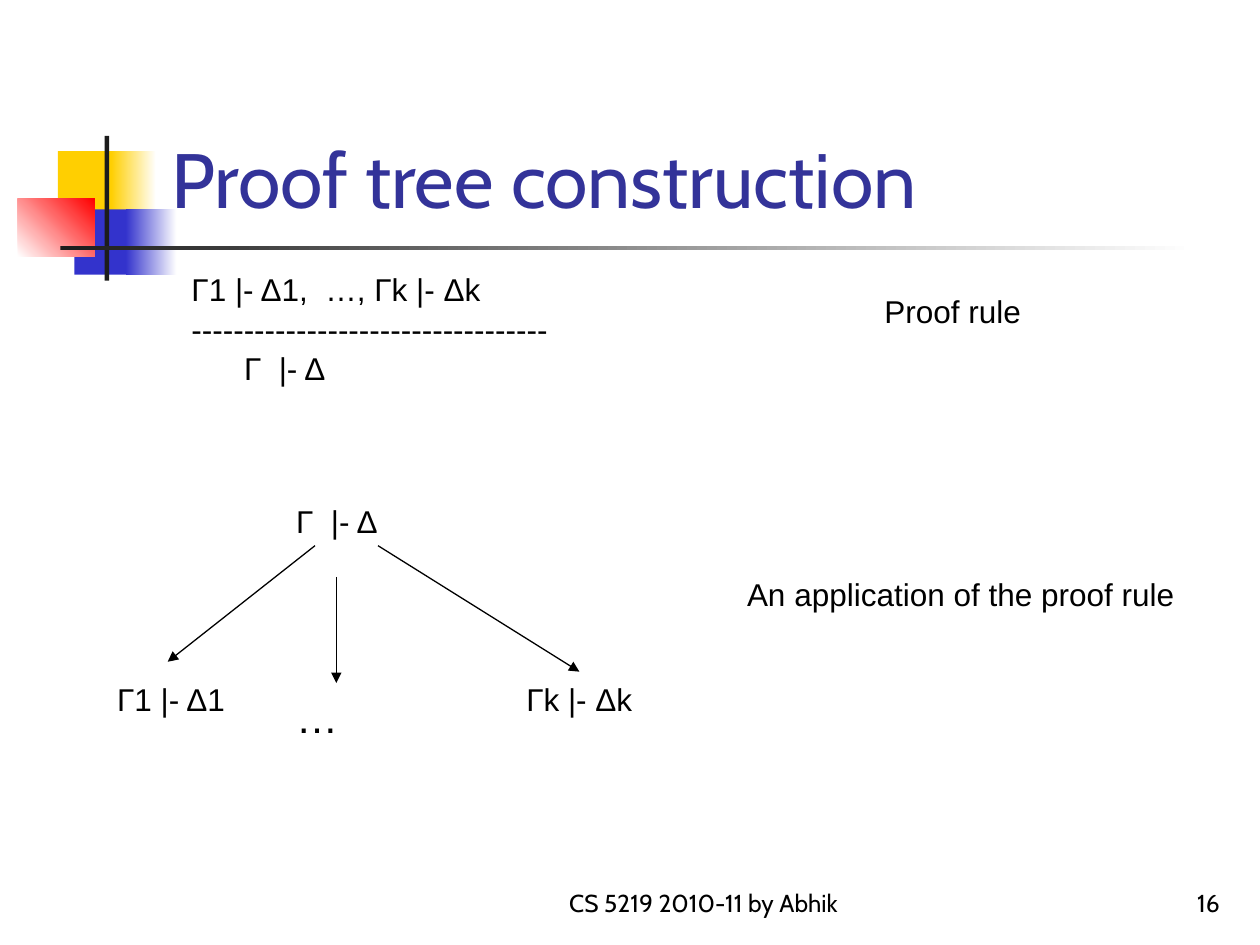
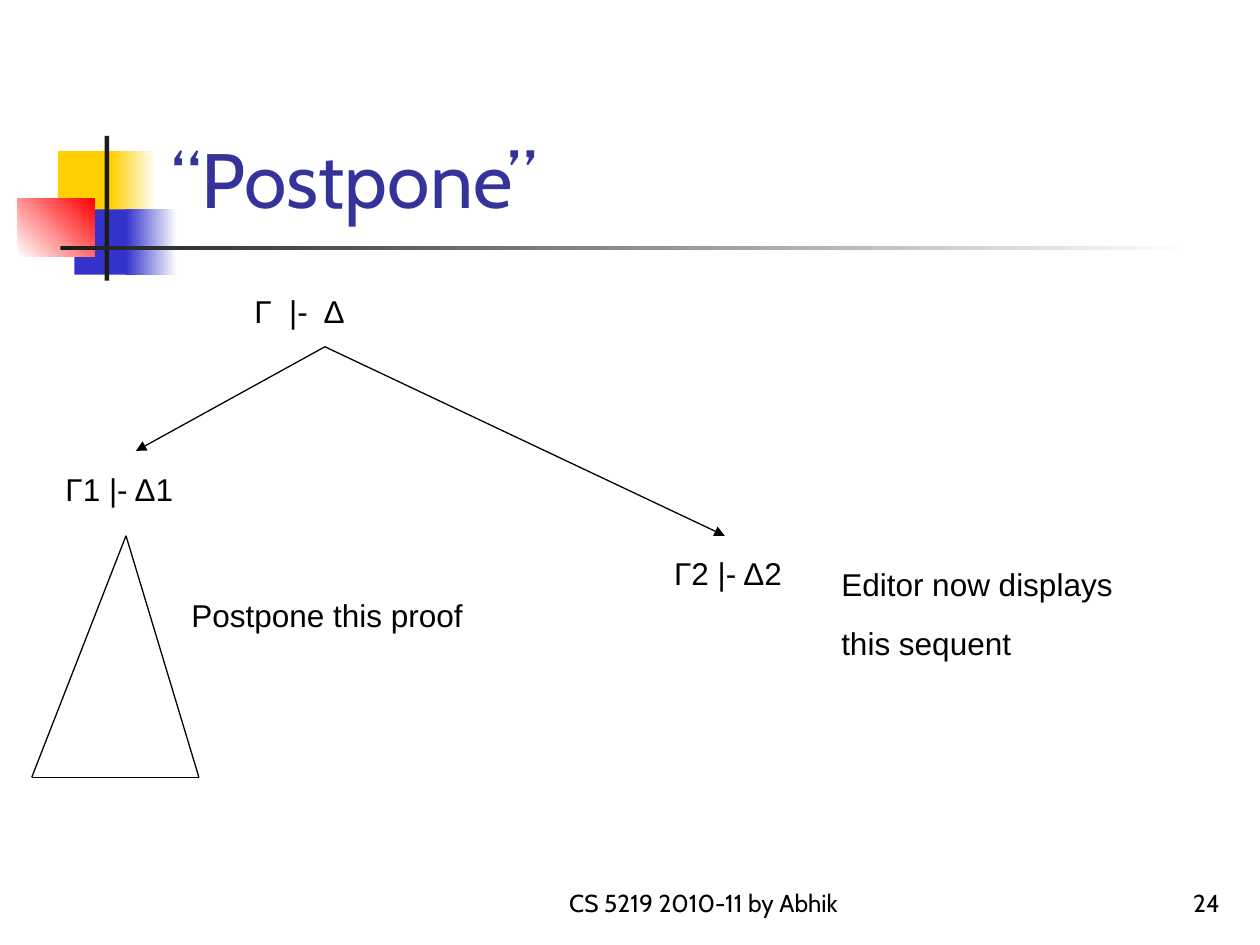
from dataclasses import dataclass

from lxml import etree
from pptx import Presentation
from pptx.dml.color import RGBColor
from pptx.enum.shapes import MSO_CONNECTOR, MSO_SHAPE
from pptx.enum.text import MSO_ANCHOR, MSO_AUTO_SIZE, PP_ALIGN
from pptx.oxml.ns import qn
from pptx.shapes.autoshape import Shape
from pptx.slide import Slide
from pptx.util import Cm, Pt

RECTANGLE = MSO_SHAPE.RECTANGLE
STRAIGHT = MSO_CONNECTOR.STRAIGHT
TOP, BOTTOM = MSO_ANCHOR.TOP, MSO_ANCHOR.BOTTOM
LEFT, CENTER, RIGHT = PP_ALIGN.LEFT, PP_ALIGN.CENTER, PP_ALIGN.RIGHT
GROW, FIXED = MSO_AUTO_SIZE.SHAPE_TO_FIT_TEXT, MSO_AUTO_SIZE.NONE
TOP_SIDE = 0
BLANK_LAYOUT = 6

Point = tuple[float, float]
Box = tuple[float, float, float, float]


@dataclass(frozen=True)
class Theme:
    yellow: str = "FFCF01"
    blue: str = "3333CC"
    red: str = "FF0000"
    white: str = "FFFFFF"
    bar: str = "1C1C1C"
    title: str = "333399"
    ink: str = "000000"
    heading_font: str = "Cabin"
    body_font: str = "Arial"
    title_size: float = 44
    body_size: float = 18
    ellipsis_size: float = 24
    footer_size: float = 14
    line_width: float = 0.75
    body_spacing: float = 1.05
    paragraph_gap: float = 0.625


THEME = Theme()


@dataclass(frozen=True)
class Block:
    box: Box
    start: str
    end: str | None = None
    angle: float = 0


@dataclass(frozen=True)
class Label:
    lines: tuple[str, ...]
    box: Box
    size: float = THEME.body_size
    font: str = THEME.body_font
    color: str = THEME.ink
    align: PP_ALIGN = LEFT
    anchor: MSO_ANCHOR = TOP
    wrap: bool = True
    spaced: bool = False
    line_spacing: float | None = THEME.body_spacing
    last_indent: float = 0


@dataclass(frozen=True)
class Edge:
    start: Point
    end: Point
    arrow: bool = True
    target: str | None = None


@dataclass(frozen=True)
class ProofSlide:
    title: str
    number: str
    labels: tuple[Label, ...]
    edges: tuple[Edge, ...]


MOTIF = (
    Block((1.17, 3.05, 1.22, 1.32), THEME.yellow),
    Block((2.24, 3.05, 0.91, 1.32), THEME.yellow, THEME.white),
    Block((1.5, 4.22, 1.17, 1.32), THEME.blue),
    Block((2.54, 4.22, 1.02, 1.32), THEME.blue, THEME.white),
    Block((0.36, 4.01, 1.55, 1.17), THEME.white, THEME.red, 45),
    Block((2.11, 2.74, 0.09, 2.92), THEME.bar),
    Block((1.22, 4.95, 22.86, 0.09), THEME.bar, THEME.white),
)

PROOF_ROOT = (6.55, 6.99)
SUBTREE = ((2.54, 10.8), (0.64, 15.67), (4.01, 15.67))

SLIDES = (
    ProofSlide(
        "Proof tree construction",
        "16",
        (
            Label(("Γ1 |- Δ1,  …, Γk |- Δk", "-" * 34, "Γ  |- Δ"),
                  (3.61, 5.28, 12.7, 2.54), last_indent=1.06),
            Label(("Proof rule",), (17.58, 5.72, 5.51, 1.02), spaced=True),
            Label(("Γ  |- Δ",), (5.72, 9.96, 5.72, 2.18)),
            Label(("Γ1 |- Δ1",), (2.11, 13.54, 2.72, 1.02), wrap=False),
            Label(("Γk |- Δk",), (10.36, 13.54, 2.64, 1.02), wrap=False),
            Label(("…",), (5.72, 13.77, 3.61, 1.27),
                  size=THEME.ellipsis_size, spaced=True),
            Label(("An application of the proof rule",),
                  (14.81, 11.43, 9.32, 1.02), spaced=True),
        ),
        (
            Edge((6.35, 11), (3.38, 13.34)),
            Edge((7.62, 11), (11.63, 13.54), target="Γk |- Δk"),
            Edge((6.78, 11.63), (6.78, 13.77)),
        ),
    ),
    ProofSlide(
        "“Postpone”",
        "24",
        (
            Label(("Γ  |-  Δ",), (4.88, 5.72, 14.81, 1.02), spaced=True),
            Label(("Γ1 |- Δ1",), (1.07, 9.32, 8.26, 1.02), spaced=True),
            Label(("Postpone this proof",), (3.61, 11.86, 7.42, 1.02), spaced=True),
            Label(("Γ2 |- Δ2",), (13.34, 11, 2.72, 1.02), wrap=False),
            Label(("Editor now displays", "this sequent"),
                  (16.71, 11.23, 6.55, 2.18), spaced=True),
        ),
        (
            Edge(PROOF_ROOT, (2.74, 9.09)),
            Edge(PROOF_ROOT, (14.61, 10.8)),
            *(Edge(corner, SUBTREE[i - 1], arrow=False)
              for i, corner in enumerate(SUBTREE)),
        ),
    ),
)


def rgb(color: str) -> RGBColor:
    return RGBColor.from_string(color)


def draw_block(slide: Slide, block: Block) -> None:
    shape = slide.shapes.add_shape(RECTANGLE, *map(Cm, block.box))
    shape.shadow.inherit = False
    shape.line.fill.background()
    if block.end is None:
        shape.fill.solid()
        shape.fill.fore_color.rgb = rgb(block.start)
        return
    shape.fill.gradient()
    shape.fill.gradient_angle = block.angle
    for stop, color in zip(shape.fill.gradient_stops, (block.start, block.end)):
        stop.color.rgb = rgb(color)


def draw_label(slide: Slide, label: Label) -> Shape:
    textbox = slide.shapes.add_textbox(*map(Cm, label.box))
    frame = textbox.text_frame
    frame.word_wrap = label.wrap
    frame.auto_size = GROW if label.anchor == TOP else FIXED
    frame.vertical_anchor = label.anchor
    frame.text = "\n".join(label.lines)
    for paragraph in frame.paragraphs:
        paragraph.alignment = label.align
        paragraph.line_spacing = label.line_spacing
        if label.spaced:
            paragraph.space_before = Pt(label.size * THEME.paragraph_gap)
        paragraph.font.name = label.font
        paragraph.font.size = Pt(label.size)
        paragraph.font.color.rgb = rgb(label.color)
    if label.last_indent:
        properties = frame.paragraphs[-1]._p.get_or_add_pPr()
        properties.set("marL", str(Cm(label.last_indent)))
    return textbox


def draw_edge(slide: Slide, edge: Edge, sequents: dict[str, Shape]) -> None:
    connector = slide.shapes.add_connector(
        STRAIGHT, *map(Cm, (*edge.start, *edge.end)))
    connector.line.color.rgb = rgb(THEME.ink)
    connector.line.width = Pt(THEME.line_width)
    if edge.target:
        connector.end_connect(sequents[edge.target], TOP_SIDE)
    if edge.arrow:
        outline = connector.line._get_or_add_ln()
        etree.SubElement(outline, qn("a:tailEnd"), type="triangle")
    etree.SubElement(connector._element.spPr, qn("a:effectLst"))


def draw_frame(slide: Slide, title: str, number: str) -> None:
    for block in MOTIF:
        draw_block(slide, block)
    footers = (
        ("CS 5219 2010-11 by Abhik", (10.16, 17.35, 8.05, 1.27), CENTER),
        (number, (19.56, 17.35, 5.28, 1.27), RIGHT),
    )
    for text, box, align in footers:
        draw_label(slide, Label((text,), box, THEME.footer_size, THEME.heading_font,
                                align=align, anchor=BOTTOM, line_spacing=None))
    draw_label(slide, Label((title,), (3.2, 0.58, 21.64, 4.06), THEME.title_size,
                            THEME.heading_font, THEME.title, anchor=BOTTOM,
                            line_spacing=None))


def main() -> None:
    deck = Presentation()
    deck.slide_width, deck.slide_height = Cm(25.4), Cm(19.05)
    for content in SLIDES:
        slide = deck.slides.add_slide(deck.slide_layouts[BLANK_LAYOUT])
        draw_frame(slide, content.title, content.number)
        sequents = {label.lines[0]: draw_label(slide, label)
                    for label in content.labels}
        for edge in content.edges:
            draw_edge(slide, edge, sequents)
    deck.save("out.pptx")


if __name__ == "__main__":
    main()
